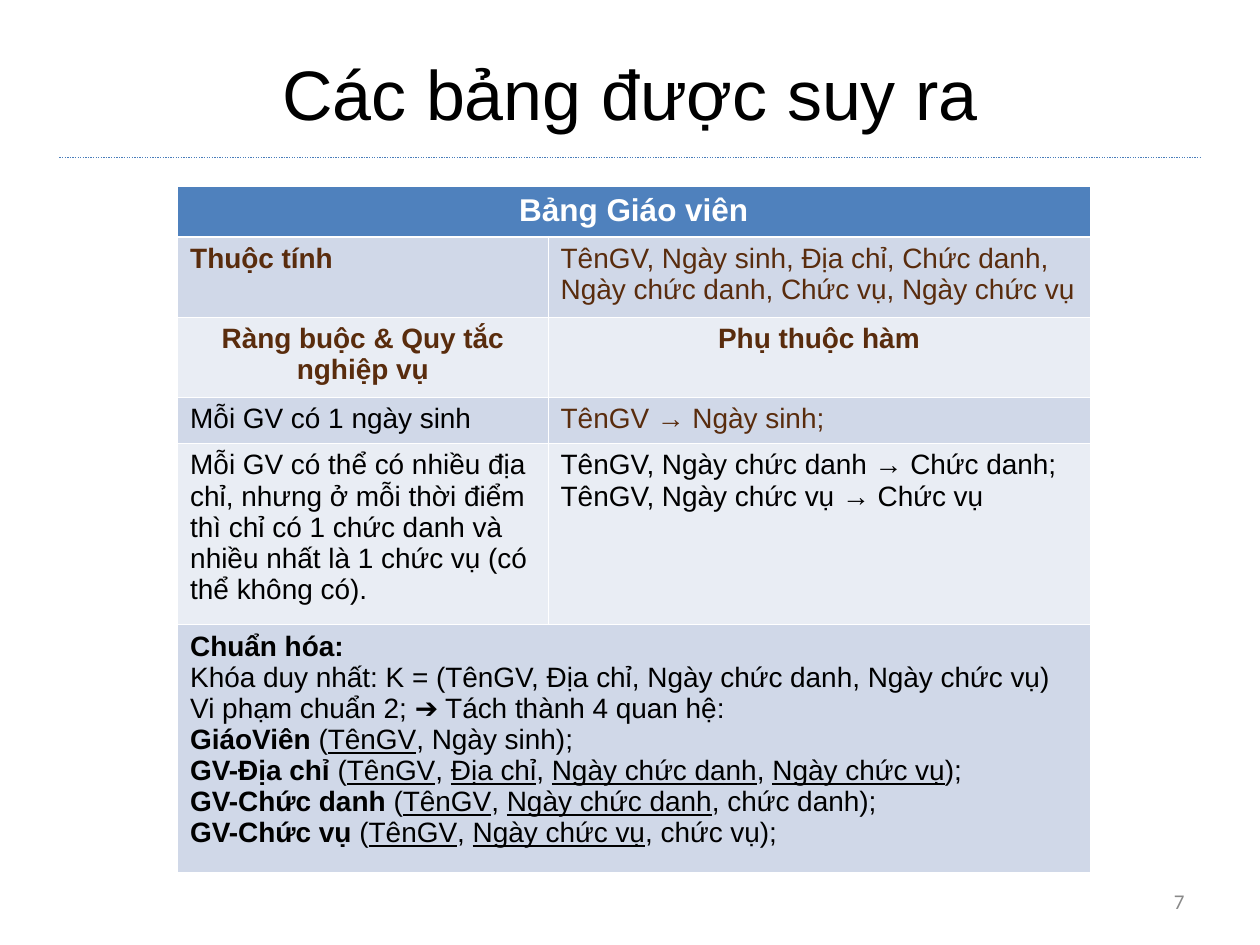
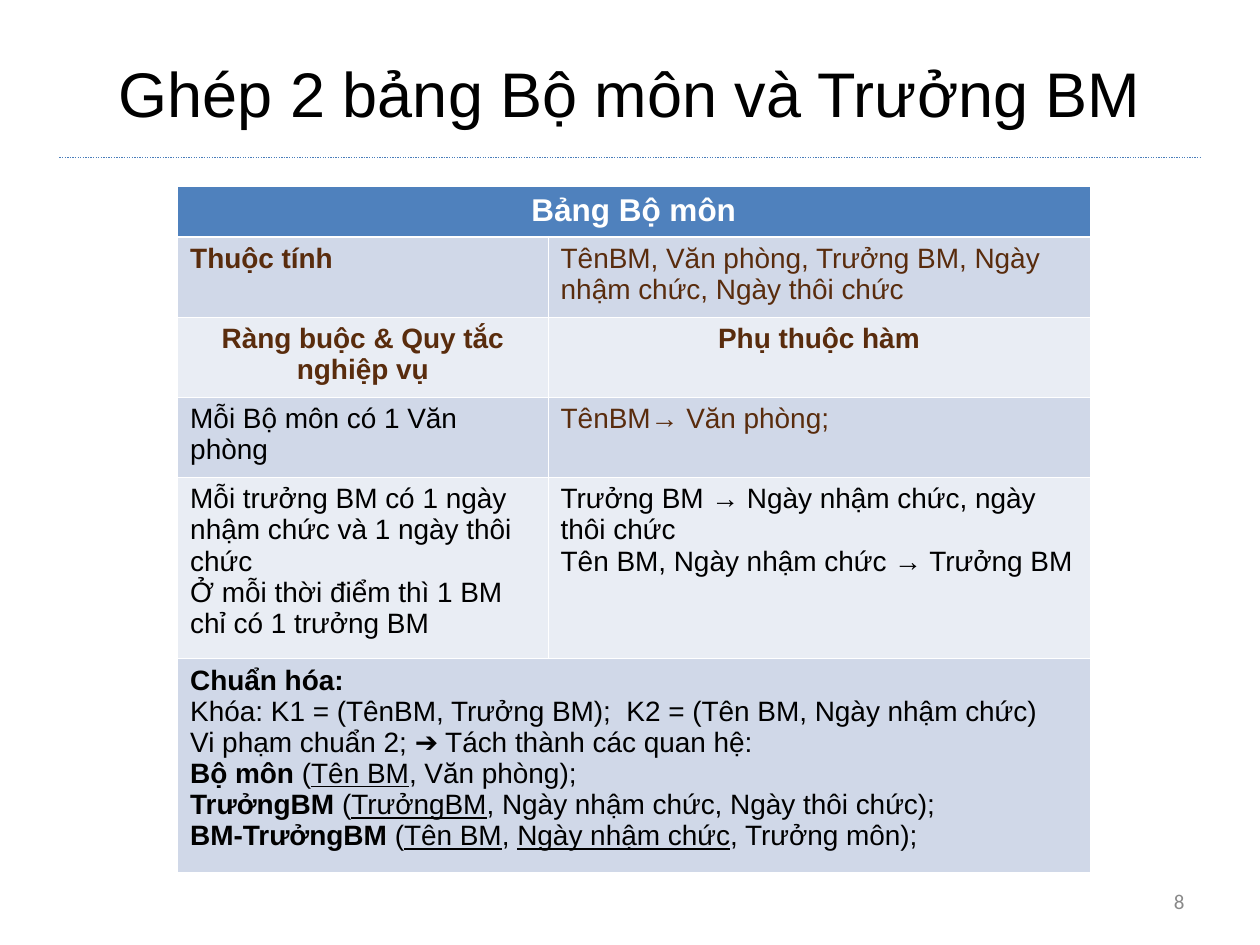
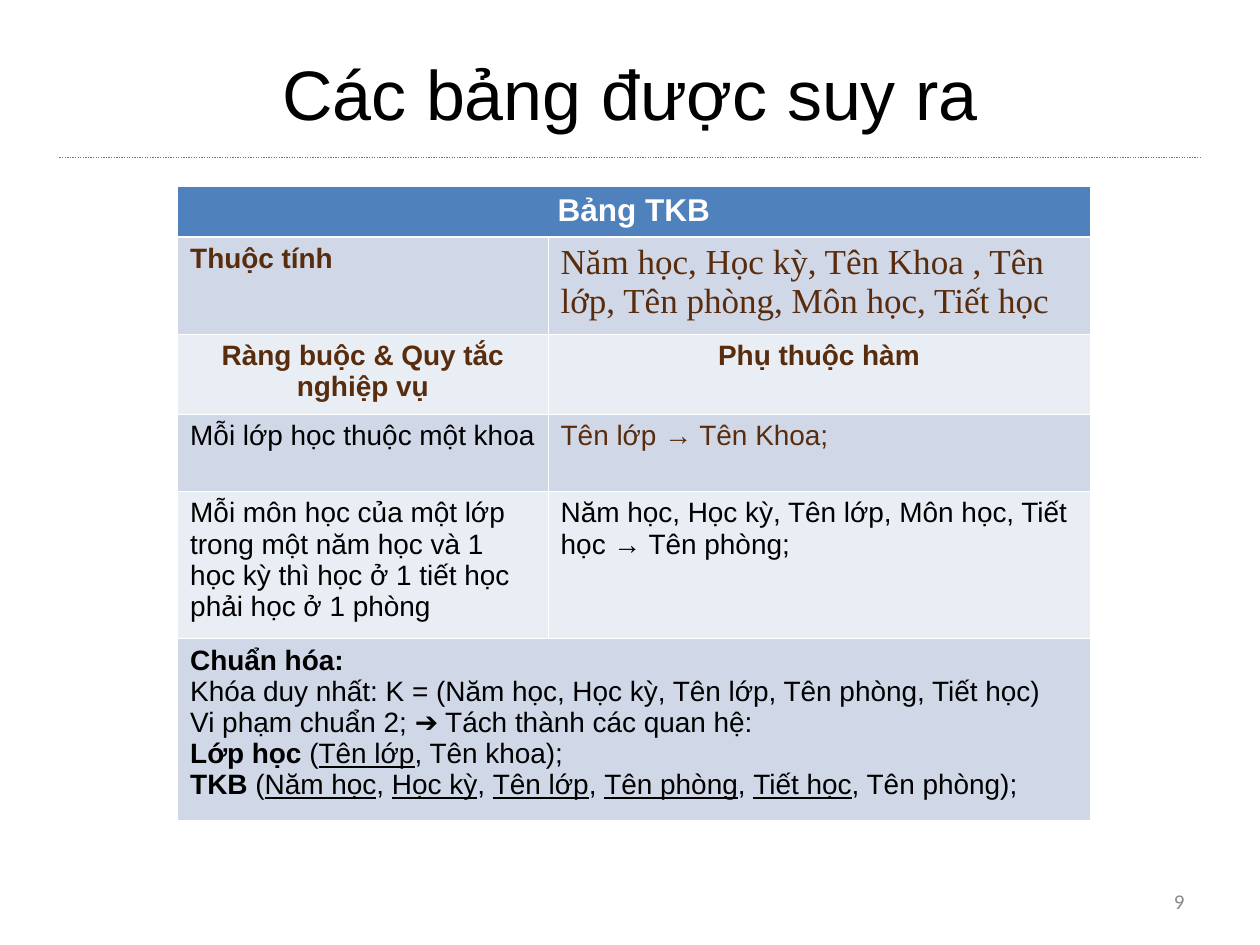
"""Builds three slides that turn derived tables into normalised relations."""
from dataclasses import dataclass

from lxml.etree import SubElement
from pptx import Presentation
from pptx.dml.color import RGBColor
from pptx.enum.dml import MSO_LINE
from pptx.enum.shapes import MSO_CONNECTOR
from pptx.enum.text import MSO_ANCHOR, PP_ALIGN
from pptx.oxml.ns import qn
from pptx.util import Pt


@dataclass(frozen=True)
class Theme:
    font: str = "Arial"
    serif: str = "Times New Roman"
    foot: str = "Calibri"
    black: str = "000000"
    white: str = "FFFFFF"
    brown: str = "592C0D"
    grey: str = "898989"
    rule: str = "4A7EBB"
    head: str = "4F81BD"
    bands: tuple = ("E9EDF4", "D0D8E8")
    title: int = 40
    tight: int = 36
    caption: int = 18
    body: int = 16
    large: int = 20
    small: int = 12
    thin: float = 0.45
    thick: float = 1.47


class Deck:
    def __init__(self, theme):
        self.theme = theme
        self.file = Presentation()
        self.file.slide_width, self.file.slide_height = Pt(720), Pt(540)
        self.slide = None

    def page(self, title, size, number):
        look = self.theme
        self.slide = self.file.slides.add_slide(self.file.slide_layouts[6])
        self.rule(34, 686, 90)
        self.label(title, (36, 21.6, 648, 62.6), PP_ALIGN.CENTER,
                   size, look.black, look.font)
        self.label(str(number), (516, 500.4, 168, 28.8), PP_ALIGN.RIGHT,
                   look.small, look.grey, look.foot)

    def rule(self, left, right, top):
        line = self.slide.shapes.add_connector(
            MSO_CONNECTOR.STRAIGHT, Pt(left), Pt(top), Pt(right), Pt(top))
        line.line.color.rgb = RGBColor.from_string(self.theme.rule)
        line.line.width = Pt(0.75)
        line.line.dash_style = MSO_LINE.ROUND_DOT
        SubElement(line._element.spPr, qn("a:effectLst"))

    def label(self, text, box, align, size, color, font):
        frame = self.slide.shapes.add_textbox(*map(Pt, box)).text_frame
        frame.word_wrap = True
        frame.vertical_anchor = MSO_ANCHOR.MIDDLE
        frame.text = text
        self.style(frame, size, color, font=font, align=align)

    def style(self, frame, size, color, bold=False, font=None, align=PP_ALIGN.LEFT):
        for para in frame.paragraphs:
            para.alignment = align
            for run in para.runs:
                run.font.name = font or self.theme.font
                run.font.size = Pt(size)
                run.font.bold = bold
                run.font.color.rgb = RGBColor.from_string(color)

    def border(self, cell, row):
        look = self.theme
        props = cell._tc.get_or_add_tcPr()
        for side in "LRTB":
            heavy = (row, side) in ((0, "B"), (1, "T"))
            width = Pt(look.thick if heavy else look.thin)
            line = SubElement(props, qn(f"a:ln{side}"), w=str(width))
            fill = SubElement(line, qn("a:solidFill"))
            SubElement(fill, qn("a:srgbClr"), val=look.white)

    def grid(self, heights):
        look = self.theme
        widths = (211.7, 309.6)
        table = self.slide.shapes.add_table(
            len(heights), len(widths), Pt(101.5), Pt(106.6),
            Pt(sum(widths)), Pt(sum(heights))).table
        for column, width in zip(table.columns, widths):
            column.width = Pt(width)
        for index, height in enumerate(heights):
            table.rows[index].height = Pt(height)
            color = look.bands[index % 2] if index else look.head
            for cell in table.rows[index].cells:
                self.border(cell, index)
                cell.fill.solid()
                cell.fill.fore_color.rgb = RGBColor.from_string(color)
        for index in (0, len(heights) - 1):
            table.cell(index, 0).merge(table.cell(index, 1))
        return table

    def fill(self, cell, text, size, color, **more):
        cell.text_frame.text = text
        self.style(cell.text_frame, size, color, **more)

    def notes(self, cell, lines, schemas):
        frame = cell.text_frame
        frame.text = "\n".join(("Chuẩn hóa:", *lines))
        bold, under = [frame.paragraphs[0].runs[0]], []
        for name, keys, rest in schemas:
            para = frame.add_paragraph()

            def add(text):
                run = para.add_run()
                run.text = text
                return run

            bold.append(add(name + " "))
            for index, key in enumerate(keys):
                add(", " if index else "(")
                under.append(add(key))
            add(f", {rest});" if rest else ");")
        self.style(frame, self.theme.body, self.theme.black)
        for run in bold:
            run.font.bold = True
        for run in under:
            run.font.underline = True

    def table(self, heights, name, fields, rules, lines, schemas, serif=False):
        look = self.theme
        body, brown, black = look.body, look.brown, look.black
        grid = self.grid(heights)
        mid = {"bold": True, "align": PP_ALIGN.CENTER}
        self.fill(grid.cell(0, 0), name, look.caption, look.white, **mid)
        self.fill(grid.cell(1, 0), "Thuộc tính", body, brown, bold=True)
        self.fill(grid.cell(1, 1), fields, look.large if serif else body, brown,
                  font=look.serif if serif else look.font)
        heads = ("Ràng buộc & Quy tắc nghiệp vụ", "Phụ thuộc hàm")
        for column, text in enumerate(heads):
            self.fill(grid.cell(2, column), text, body, brown, **mid)
        for row, (rule, result) in enumerate(rules, 3):
            self.fill(grid.cell(row, 0), rule, body, black)
            self.fill(grid.cell(row, 1), result, body, brown if row == 3 else black)
        self.notes(grid.cell(5, 0), lines, schemas)


def main():
    look = Theme()
    deck = Deck(look)
    derived = "Các bảng được suy ra"
    split = "Vi phạm chuẩn 2; ➔ Tách thành các quan hệ:"

    deck.page(derived, look.title, 7)
    deck.table(
        (28.6, 45.8, 45.8, 26.4, 103.6, 141.6),
        "Bảng Giáo viên",
        "TênGV, Ngày sinh, Địa chỉ, Chức danh, Ngày chức danh, Chức vụ, Ngày chức vụ",
        (("Mỗi GV có 1 ngày sinh", "TênGV → Ngày sinh;"),
         ("Mỗi GV có thể có nhiều địa chỉ, nhưng ở mỗi thời điểm thì chỉ có "
          "1 chức danh và nhiều nhất là 1 chức vụ (có thể không có).",
          "TênGV, Ngày chức danh → Chức danh;\nTênGV, Ngày chức vụ → Chức vụ")),
        ("Khóa duy nhất: K = (TênGV, Địa chỉ, Ngày chức danh, Ngày chức vụ)",
         "Vi phạm chuẩn 2; ➔ Tách thành 4 quan hệ:"),
        (("GiáoViên", ("TênGV",), "Ngày sinh"),
         ("GV-Địa chỉ", ("TênGV", "Địa chỉ", "Ngày chức danh", "Ngày chức vụ"), ""),
         ("GV-Chức danh", ("TênGV", "Ngày chức danh"), "chức danh"),
         ("GV-Chức vụ", ("TênGV", "Ngày chức vụ"), "chức vụ")))

    deck.page("Ghép 2 bảng Bộ môn và Trưởng BM", look.tight, 8)
    deck.table(
        (28.6, 45.8, 45.8, 45.8, 103.6, 122.2),
        "Bảng Bộ môn",
        "TênBM, Văn phòng, Trưởng BM, Ngày nhậm chức, Ngày thôi chức",
        (("Mỗi Bộ môn có 1 Văn phòng", "TênBM→ Văn phòng;"),
         ("Mỗi trưởng BM có 1 ngày nhậm chức và 1 ngày thôi chức\n"
          "Ở mỗi thời điểm thì 1 BM chỉ có 1 trưởng BM",
          "Trưởng BM → Ngày nhậm chức, ngày thôi chức\n"
          "Tên BM, Ngày nhậm chức → Trưởng BM")),
        ("Khóa: K1 = (TênBM, Trưởng BM);  K2 = (Tên BM, Ngày nhậm chức)", split),
        (("Bộ môn", ("Tên BM",), "Văn phòng"),
         ("TrưởngBM", ("TrưởngBM",), "Ngày nhậm chức, Ngày thôi chức"),
         ("BM-TrưởngBM", ("Tên BM", "Ngày nhậm chức"), "Trưởng môn")))

    deck.page(derived, look.title, 9)
    deck.table(
        (28.6, 55.4, 46, 44, 84.2, 103.6),
        "Bảng TKB",
        "Năm học, Học kỳ, Tên Khoa , Tên lớp, Tên phòng, Môn học, Tiết học",
        (("Mỗi lớp học thuộc một khoa", "Tên lớp → Tên Khoa;"),
         ("Mỗi môn học của một lớp trong một năm học và 1 học kỳ thì học ở "
          "1 tiết học phải học ở 1 phòng",
          "Năm học, Học kỳ, Tên lớp, Môn học, Tiết học → Tên phòng;")),
        ("Khóa duy nhất: K = (Năm học, Học kỳ, Tên lớp, Tên phòng, Tiết học)", split),
        (("Lớp học", ("Tên lớp",), "Tên khoa"),
         ("TKB", ("Năm học", "Học kỳ", "Tên lớp", "Tên phòng", "Tiết học"),
          "Tên phòng")),
        serif=True)

    deck.file.save("out.pptx")


if __name__ == "__main__":
    main()
